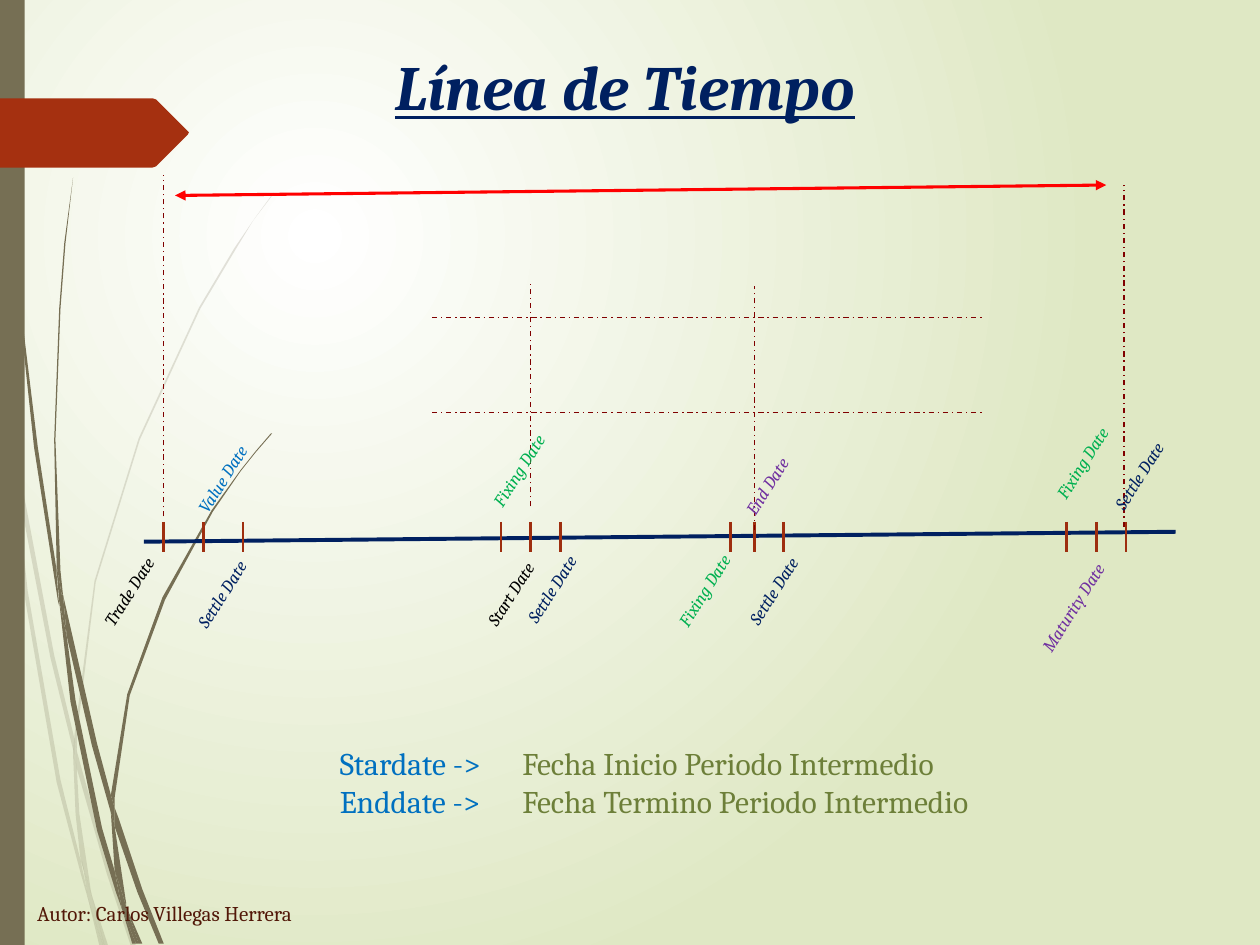
from lxml import etree
from pptx import Presentation
from pptx import util as u
from pptx.dml.color import RGBColor
from pptx.enum import dml, shapes, text
from pptx.oxml.ns import qn

NAVY, BLUE, GREEN, PURPLE, BLACK = "002060", "0070C0", "00B050", "7030A0", "000000"
RUST, BRICK, MAROON, RED = "A53010", "9E2E0F", "800000", "FF0000"
TAUPE, OLIVE, BROWN = "766F54", "6D7F39", "521808"

HUNDREDTH_INCH = u.Cm(0.0254)

PALE_BLADES = [
    [(8, 350), (6, 322), (0, 282), (0, 299), (7, 344)],
    [(40, 522), (59, 599), (59, 586), (43, 520), (10, 345), (12, 376)],
    [(64, 607), (61, 596), (61, 610), (85, 694), (104, 751), (108, 751), (88, 692)],
    [(83, 751), (86, 751), (73, 711)],
    [(64, 683), (48, 619), (22, 469), (12, 376), (8, 350), (19, 470), (45, 621),
     (64, 693), (70, 714), (69, 707)],
    [(58, 599), (60, 646), (64, 683), (67, 692), (73, 711), (72, 706), (63, 646),
     (61, 610), (61, 608)],
    [(61, 584), (76, 462), (111, 349), (159, 245), (187, 198), (201, 175), (217, 154),
     (217, 153), (201, 175), (186, 197), (158, 244), (110, 348), (75, 461), (59, 584),
     (59, 586), (61, 596)],
    [(70, 714), (79, 751), (82, 751)],
    [(61, 608), (61, 610), (61, 596), (59, 586), (58, 599)],
    [(67, 692), (65, 683), (69, 707), (70, 714), (82, 751), (83, 751), (73, 711)],
]
DARK_BLADES = [
    [(5, 110), (14, 233), (27, 355), (46, 477), (47, 481), (45, 457), (45, 453),
     (30, 355), (15, 232), (6, 109), (4, 48), (3, 0), (2, 0), (3, 48)],
    [(73, 592), (88, 645), (88, 633), (88, 631), (77, 590), (50, 472), (53, 505)],
    [(94, 649), (91, 641), (91, 656), (109, 708), (126, 749), (130, 749), (113, 706)],
    [(91, 691), (81, 657), (60, 556), (53, 505), (47, 477), (56, 557), (77, 659),
     (92, 708), (97, 722), (96, 717)],
    [(50, 472), (48, 453), (44, 349), (48, 245), (52, 193), (58, 141), (51, 193),
     (47, 245), (43, 349), (45, 449), (49, 472)],
    [(110, 749), (113, 749), (100, 719)],
    [(47, 477), (53, 505), (50, 472), (49, 472), (45, 449), (45, 453)],
    [(91, 633), (103, 552), (131, 476), (169, 406), (191, 374), (203, 359), (216, 344),
     (215, 344), (203, 358), (191, 373), (168, 405), (129, 474), (101, 551), (88, 631),
     (91, 641)],
    [(97, 722), (105, 749), (108, 749)],
    [(88, 645), (91, 691), (96, 706), (100, 719), (100, 716), (91, 656), (90, 651)],
    [(88, 645), (90, 651), (91, 656), (91, 641), (88, 631), (88, 633)],
    [(96, 706), (91, 691), (96, 717), (97, 722), (108, 749), (110, 749), (100, 719)],
]
MARKER = [(0, 78), (121, 78), (124, 79), (149, 104), (150, 105), (149, 107),
          (124, 132), (121, 133), (0, 133)]

TICKS = [3.3, 4.1, 4.9, 10.1, 10.7, 11.3, 14.73, 15.21, 15.8, 21.5, 22.1, 22.7]
GUIDES = [
    (8.71, 8.31, 19.79, 8.31), (8.71, 6.4, 19.79, 6.4), (15.21, 10.69, 15.21, 5.77),
    (3.3, 10.41, 3.3, 3.53), (22.66, 10.62, 22.66, 3.73), (10.7, 10.21, 10.7, 5.72),
]
DATE_STYLES = {
    "Trade Date": (2.18, BLACK), "Value Date": (2.13, BLUE), "Settle Date": (2.16, NAVY),
    "Start Date": (2.06, BLACK), "Fixing Date": (2.24, GREEN), "End Date": (1.88, PURPLE),
    "Maturity Date": (2.62, PURPLE),
}
DATES = [
    ("Trade Date", 1.55, 11.53), ("Value Date", 3.45, 9.27), ("Settle Date", 3.43, 11.58),
    ("Start Date", 9.3, 11.58), ("Fixing Date", 9.37, 9.09), ("Settle Date", 10.08, 11.48),
    ("Fixing Date", 13.11, 11.51), ("End Date", 14.55, 9.42), ("Settle Date", 14.55, 11.51),
    ("Maturity Date", 20.35, 11.86), ("Fixing Date", 20.73, 8.94), ("Settle Date", 21.92, 9.19),
]
LEGEND = [
    ("Stardate ->", "Fecha Inicio Periodo Intermedio"),
    ("Enddate ->", "Fecha Termino Periodo Intermedio"),
]


def colour(value):
    return RGBColor.from_string(value)


class Painter:
    font = "Cambria"

    def __init__(self, page):
        self.page = page

    def background(self, inner, outer):
        fill = self.page.background.fill
        fill.gradient()
        for stop, value, position in zip(fill.gradient_stops, (inner, outer), (0, 1)):
            stop.color.rgb = colour(value)
            stop.position = position
        gradient = self.page.element.find(".//" + qn("a:gradFill"))
        linear = gradient.find(qn("a:lin"))
        circle = etree.Element(qn("a:path"), {"path": "circle"})
        edges = {"l": "50000", "t": "50000", "r": "100000", "b": "100000"}
        etree.SubElement(circle, qn("a:fillToRect"), edges)
        gradient.replace(linear, circle)

    def paint(self, shape, value, opacity=100):
        shape.shadow.inherit = False
        shape.fill.solid()
        shape.fill.fore_color.rgb = colour(value)
        shape.line.fill.background()
        if opacity < 100:
            tint = shape.element.spPr.find(".//" + qn("a:srgbClr"))
            etree.SubElement(tint, qn("a:alpha"), {"val": str(opacity * 1000)})

    def outline(self, points, value, opacity=100):
        builder = self.page.shapes.build_freeform(*points[0], scale=HUNDREDTH_INCH)
        builder.add_line_segments(points[1:], close=True)
        self.paint(builder.convert_to_shape(), value, opacity)

    def bar(self, left, top, width, height, value):
        frame = map(u.Cm, (left, top, width, height))
        self.paint(self.page.shapes.add_shape(shapes.MSO_SHAPE.RECTANGLE, *frame), value)

    def line(self, ends, value, width, dash=None, arrows=False):
        line = self.page.shapes.add_connector(
            shapes.MSO_CONNECTOR.STRAIGHT, *map(u.Cm, ends))
        line.line.color.rgb = colour(value)
        line.line.width = u.Pt(width)
        if dash:
            line.line.dash_style = dash
        if arrows:
            for end in ("a:headEnd", "a:tailEnd"):
                etree.SubElement(line.line._get_or_add_ln(), qn(end), {"type": "triangle"})
        etree.SubElement(line.element.spPr, qn("a:effectLst"))

    def words(self, frame, rows, wrap=False, align=None, rotation=0, tab=None, **format):
        box = self.page.shapes.add_textbox(*map(u.Cm, frame))
        box.rotation = rotation
        body = box.text_frame
        body.word_wrap = wrap
        body.auto_size = text.MSO_AUTO_SIZE.NONE if wrap else text.MSO_AUTO_SIZE.SHAPE_TO_FIT_TEXT
        for index, row in enumerate(rows):
            para = body.add_paragraph() if index else body.paragraphs[0]
            if align is not None:
                para.alignment = align
            if tab:
                stops = etree.SubElement(para._p.get_or_add_pPr(), qn("a:tabLst"))
                etree.SubElement(stops, qn("a:tab"), {"pos": str(u.Cm(tab)), "algn": "l"})
            for words, value in row:
                span = para.add_run()
                span.text = words
                span.font.color.rgb = colour(value)
                for name, setting in {"name": self.font, **format}.items():
                    setattr(span.font, name, setting)


def main():
    deck = Presentation()
    deck.slide_width, deck.slide_height = u.Cm(25.4), u.Cm(19.05)
    painter = Painter(deck.slides.add_slide(deck.slide_layouts[6]))

    painter.background("FFFFFF", "DFE8C4")
    for blade in PALE_BLADES:
        painter.outline(blade, TAUPE, 20)
    for blade in DARK_BLADES:
        painter.outline(blade, TAUPE)
    painter.bar(0, 0, 0.5, 19.05, TAUPE)
    painter.outline(MARKER, RUST)

    painter.words((6.71, 0.84, 11.79, 1.35), [[("Línea de Tiempo", NAVY)]], wrap=True,
                  align=text.PP_ALIGN.CENTER, size=u.Pt(36),
                  bold=True, italic=True, underline=True)
    painter.words((0.5, 18.03, 5.97, 0.76), [[("Autor: Carlos Villegas Herrera", BROWN)]],
                  size=u.Pt(12))

    painter.line((2.9, 10.92, 23.7, 10.72), NAVY, 2.25)
    for x in TICKS:
        painter.line((x, 10.52, x, 11.13), BRICK, 1.5)
    for guide in GUIDES:
        painter.line(guide, MAROON, 0.75, dash=dml.MSO_LINE.DASH_DOT)
    painter.line((3.53, 3.94, 22.3, 3.73), RED, 1.75, arrows=True)

    for name, left, top in DATES:
        width, value = DATE_STYLES[name]
        painter.words((left, top, width, 0.69), [[(name, value)]], rotation=302.4,
                      size=u.Pt(10), italic=True)

    rows = [[(term + "\t", BLUE), (meaning, OLIVE)] for term, meaning in LEGEND]
    painter.words((6.6, 14.88, 14.71, 1.8), rows, wrap=True, tab=3.68, size=u.Pt(18))

    deck.save("out.pptx")


if __name__ == "__main__":
    main()
